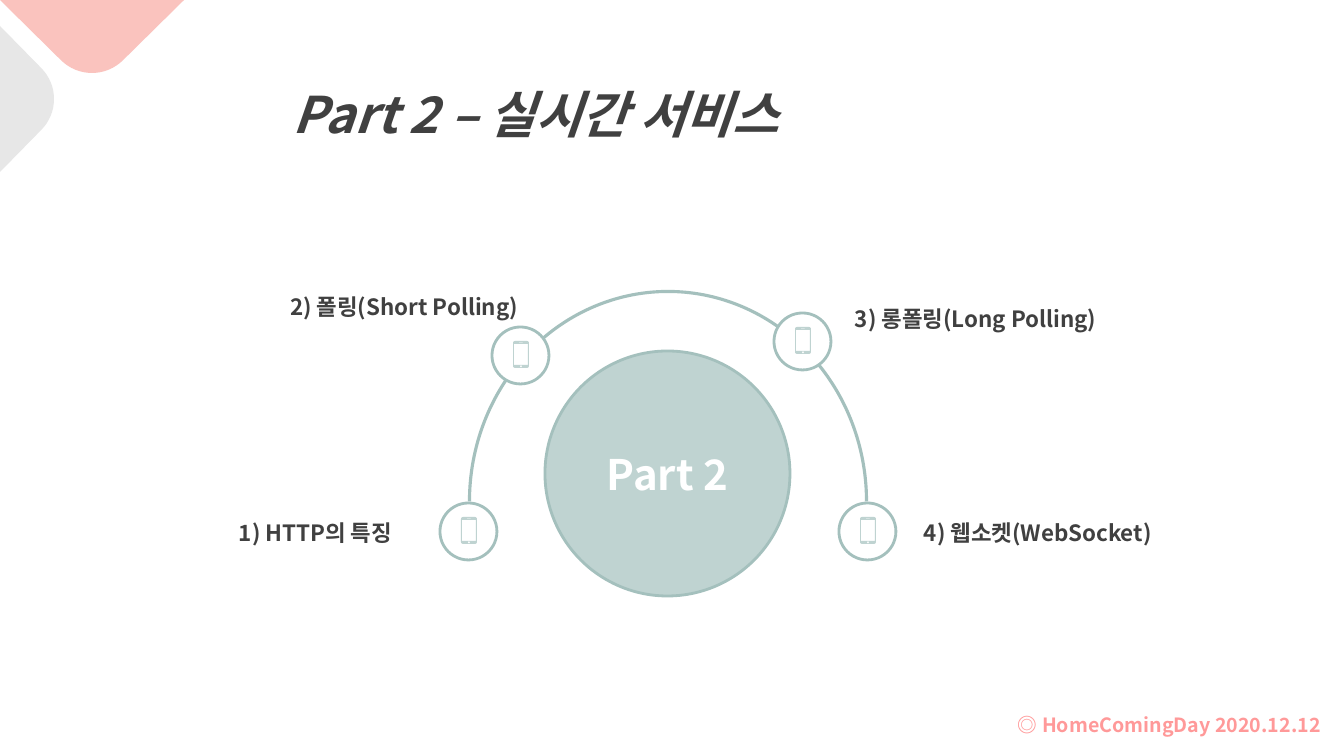
import math

import lxml.etree
import pptx
import pptx.dml.color
import pptx.enum.shapes
import pptx.enum.text
import pptx.oxml.ns
import pptx.util

EMU_PER_PIXEL = 914400 / 100.8
STEPS_PER_PIXEL = 10  # resolution of freeform outlines
FONT = "Noto Sans CJK KR"
PINK, GREY, CORAL = "FAC3BE", "E7E7E7", "FF9999"
SAGE, DARK_SAGE = "BFD3D1", "A4C0BD"
CHARCOAL, WHITE = "404040", "FFFFFF"

SHAPES = pptx.enum.shapes.MSO_SHAPE
ALIGN = pptx.enum.text.PP_ALIGN
NODE_SIZE = 57
LABEL_SIZE = (326, 50)

# Each topic: node position, label position, label alignment, label
TOPICS = [
    ((440, 503), (76, 501), ALIGN.RIGHT, "1) HTTP의 특징"),
    ((492, 327), (202, 275), ALIGN.RIGHT, "2) 폴링(Short Polling)"),
    ((774, 313), (845, 287), ALIGN.LEFT, "3) 롱폴링(Long Polling)"),
    ((839, 503), (914, 501), ALIGN.LEFT, "4) 웹소켓(WebSocket)"),
]


def px(pixels):
    return pptx.util.Emu(round(pixels * EMU_PER_PIXEL))


def color(value):
    return pptx.dml.color.RGBColor.from_string(value)


def paint(shape, fill=None, line=None, width=2):
    shape.shadow.inherit = False
    if fill:
        shape.fill.solid()
        shape.fill.fore_color.rgb = color(fill)
    else:
        shape.fill.background()
    if line:
        shape.line.color.rgb = color(line)
        shape.line.width = pptx.util.Pt(width)
    else:
        shape.line.fill.background()


def add_words(paragraph, words, size, tint, italic=False):
    run = paragraph.add_run()
    run.text = words
    font = run.font
    font.name, font.size = FONT, pptx.util.Pt(size)
    font.bold = True
    if italic:
        font.italic = True
    font.color.rgb = color(tint)
    east_asian = lxml.etree.SubElement(run._r.get_or_add_rPr(), pptx.oxml.ns.qn("a:ea"))
    east_asian.set("typeface", FONT)


def add_text(shapes, box, words, size, tint=CHARCOAL, align=ALIGN.LEFT, italic=False, wrap=True):
    frame = shapes.add_textbox(*map(px, box)).text_frame
    frame.word_wrap = wrap
    frame.auto_size = pptx.enum.text.MSO_AUTO_SIZE.SHAPE_TO_FIT_TEXT
    paragraph = frame.paragraphs[0]
    paragraph.alignment = align
    paragraph.line_spacing = 1.5
    add_words(paragraph, words, size, tint, italic)


def add_preset(shapes, kind, box, fill=None, line=None, width=2):
    shape = shapes.add_shape(kind, *map(px, box))
    paint(shape, fill, line, width)
    return shape


def arc(x, y, radius, start, end, steps=16):
    """Points on a circle, with angles in degrees clockwise from the right."""
    angles = [math.radians(start + (end - start) * i / steps) for i in range(steps + 1)]
    return [(x + radius * math.cos(a), y + radius * math.sin(a)) for a in angles]


def add_outline(shapes, contours, fill, left=0, top=0):
    scaled = [[(x * STEPS_PER_PIXEL, y * STEPS_PER_PIXEL) for x, y in c] for c in contours]
    builder = shapes.build_freeform(*scaled[0][0], scale=EMU_PER_PIXEL / STEPS_PER_PIXEL)
    for number, contour in enumerate(scaled):
        if number:
            builder.move_to(*contour[0])
        builder.add_line_segments(contour[1:], close=True)
    paint(builder.convert_to_shape(px(left), px(top)), fill)


def rectangle(left, top, right, bottom):
    return [(left, top), (left, bottom), (right, bottom), (right, top)]


def add_phone(shapes, left, top):
    width, height, radius = 16, 27, 2
    body = (
        arc(radius, radius, radius, 180, 270, 4)
        + arc(width - radius, radius, radius, 270, 360, 4)
        + arc(width - radius, height - radius, radius, 0, 90, 4)
        + arc(radius, height - radius, radius, 90, 180, 4)
    )
    screen = rectangle(1, 3, 15, 24)
    speaker = rectangle(6, 1.5, 10, 1.8)
    button = arc(8, 25.4, 1, 360, 0)
    add_outline(shapes, [body, screen, speaker, button], SAGE, left, top)


def add_node(shapes, left, top):
    node = shapes.add_group_shape().shapes
    add_preset(node, SHAPES.OVAL, (left, top, NODE_SIZE, NODE_SIZE), WHITE, DARK_SAGE)
    add_phone(node, left + 21, top + 14)


def add_corner(shapes):
    corner = shapes.add_group_shape().shapes
    add_outline(corner, [[(0, 0), (184, 0)] + arc(92, 29, 44, 45, 135)], PINK)
    add_outline(corner, [[(0, 172), (0, 26)] + arc(10, 99, 44, -45, 45)], GREY)


def add_hub(shapes):
    hub = add_preset(shapes, SHAPES.OVAL, (545, 351, 245, 245), SAGE, DARK_SAGE)
    hub.text_frame.vertical_anchor = pptx.enum.text.MSO_ANCHOR.MIDDLE
    caption = hub.text_frame.paragraphs[0]
    caption.alignment = ALIGN.CENTER
    add_words(caption, "Part 2", 30, WHITE)


def add_arch(shapes):
    arch = add_preset(shapes, SHAPES.LEFT_BRACKET, (563, 198, 210, 397), None, DARK_SAGE, 2.25)
    arch.rotation = 90
    arch.adjustments[0] = 1.2


def main():
    deck = pptx.Presentation()
    deck.slide_width, deck.slide_height = px(1344), px(756)
    shapes = deck.slides.add_slide(deck.slide_layouts[6]).shapes

    # Corner decoration and title
    add_corner(shapes)
    add_text(shapes, (283, 48, 782, 90), "Part 2 – 실시간 서비스", 36, italic=True)

    # Hub with the arch around it
    add_hub(shapes)
    add_arch(shapes)

    # Topics along the arch
    for node, label, align, words in TOPICS:
        add_node(shapes, *node)
        add_text(shapes, label + LABEL_SIZE, words, 16, align=align)

    # Footer
    add_text(shapes, (1006, 696, 327, 45), "◎ HomeComingDay 2020.12.12", 14,
             CORAL, ALIGN.CENTER, wrap=False)

    deck.save("out.pptx")


main()
